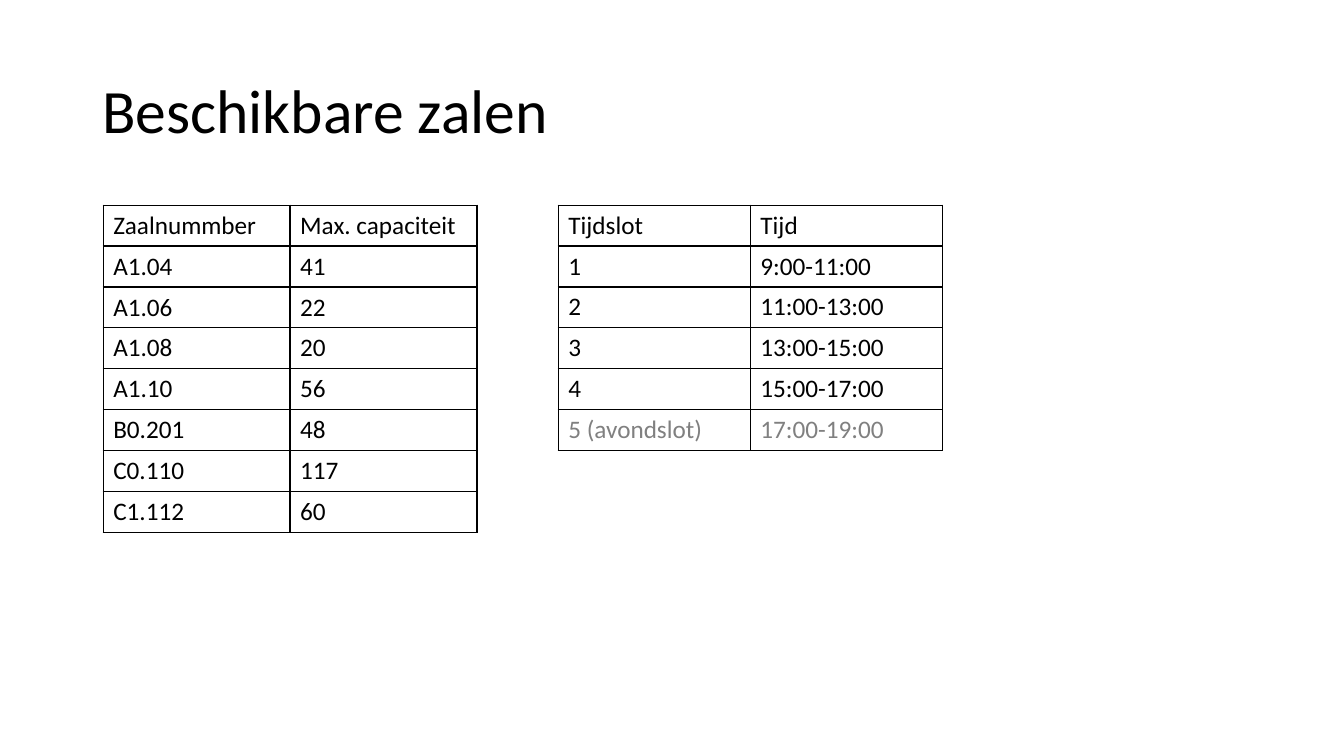
"""Build the slide with available rooms and time slots."""
from lxml import etree
from pptx import Presentation
from pptx import util as u
from pptx.dml.color import RGBColor
from pptx.enum import text
from pptx.oxml.ns import qn

COLORS = {"black": "000000", "grey": "808080"}

ROOMS = [
    ("Zaalnummber", "Max. capaciteit"),
    ("A1.04", "41"),
    ("A1.06", "22"),
    ("A1.08", "20"),
    ("A1.10", "56"),
    ("B0.201", "48"),
    ("C0.110", "117"),
    ("C1.112", "60"),
]
SLOTS = [
    ("Tijdslot", "Tijd"),
    ("1", "9:00-11:00"),
    ("2", "11:00-13:00"),
    ("3", "13:00-15:00"),
    ("4", "15:00-17:00"),
    ("5 (avondslot)", "17:00-19:00"),
]


class Deck:
    font = "Calibri"
    title_size = 44
    cell_size = 18
    row_height = 1.03
    border = 1

    def __init__(self):
        self.prs = Presentation()
        self.prs.slide_width = u.Cm(33.87)
        self.prs.slide_height = u.Cm(19.05)
        self.s = self.prs.slides.add_slide(self.prs.slide_layouts[6])

    def set_text(self, tf, content, size, color):
        tf.text = content
        p = tf.paragraphs[0]
        for r in p.runs:
            r.font.name = self.font
            r.font.size = u.Pt(size)
            r.font.color.rgb = RGBColor.from_string(COLORS[color])
        return p

    def title(self, content, left, top, width, height):
        sp = self.s.shapes.add_textbox(*map(u.Cm, (left, top, width, height)))
        tf = sp.text_frame
        tf.word_wrap = True
        tf.vertical_anchor = text.MSO_ANCHOR.MIDDLE
        p = self.set_text(tf, content, self.title_size, "black")
        p.line_spacing = 0.9

    def borders(self, cell):
        tc_pr = cell._tc.get_or_add_tcPr()
        for i, side in enumerate(("lnL", "lnR", "lnT", "lnB")):
            ln = etree.Element(qn(f"a:{side}"), w=str(int(u.Pt(self.border))))
            fill = etree.SubElement(ln, qn("a:solidFill"))
            etree.SubElement(fill, qn("a:srgbClr"), val=COLORS["black"])
            tc_pr.insert(i, ln)

    def table(self, rows, left, top, col_width, anchor, grey_rows=()):
        n_cols = len(rows[0])
        size = (col_width * n_cols, self.row_height * len(rows))
        tbl = self.s.shapes.add_table(
            len(rows), n_cols, *map(u.Cm, (left, top, *size))).table
        tbl.first_row = tbl.horz_banding = False
        for col in tbl.columns:
            col.width = u.Cm(col_width)
        for i, row in enumerate(rows):
            tbl.rows[i].height = u.Cm(self.row_height)
            color = "grey" if i in grey_rows else "black"
            for j, content in enumerate(row):
                cell = tbl.cell(i, j)
                cell.vertical_anchor = anchor
                cell.fill.background()
                self.set_text(cell.text_frame, content, self.cell_size, color)
                self.borders(cell)


def main():
    deck = Deck()
    deck.title("Beschikbare zalen", 2.33, 1.01, 29.21, 3.68)
    deck.table(ROOMS, 2.6, 5.17, 4.71, text.MSO_ANCHOR.MIDDLE)
    deck.table(SLOTS, 14.07, 5.17, 4.84, text.MSO_ANCHOR.TOP, grey_rows=(5,))
    deck.prs.save("out.pptx")


if __name__ == "__main__":
    main()
